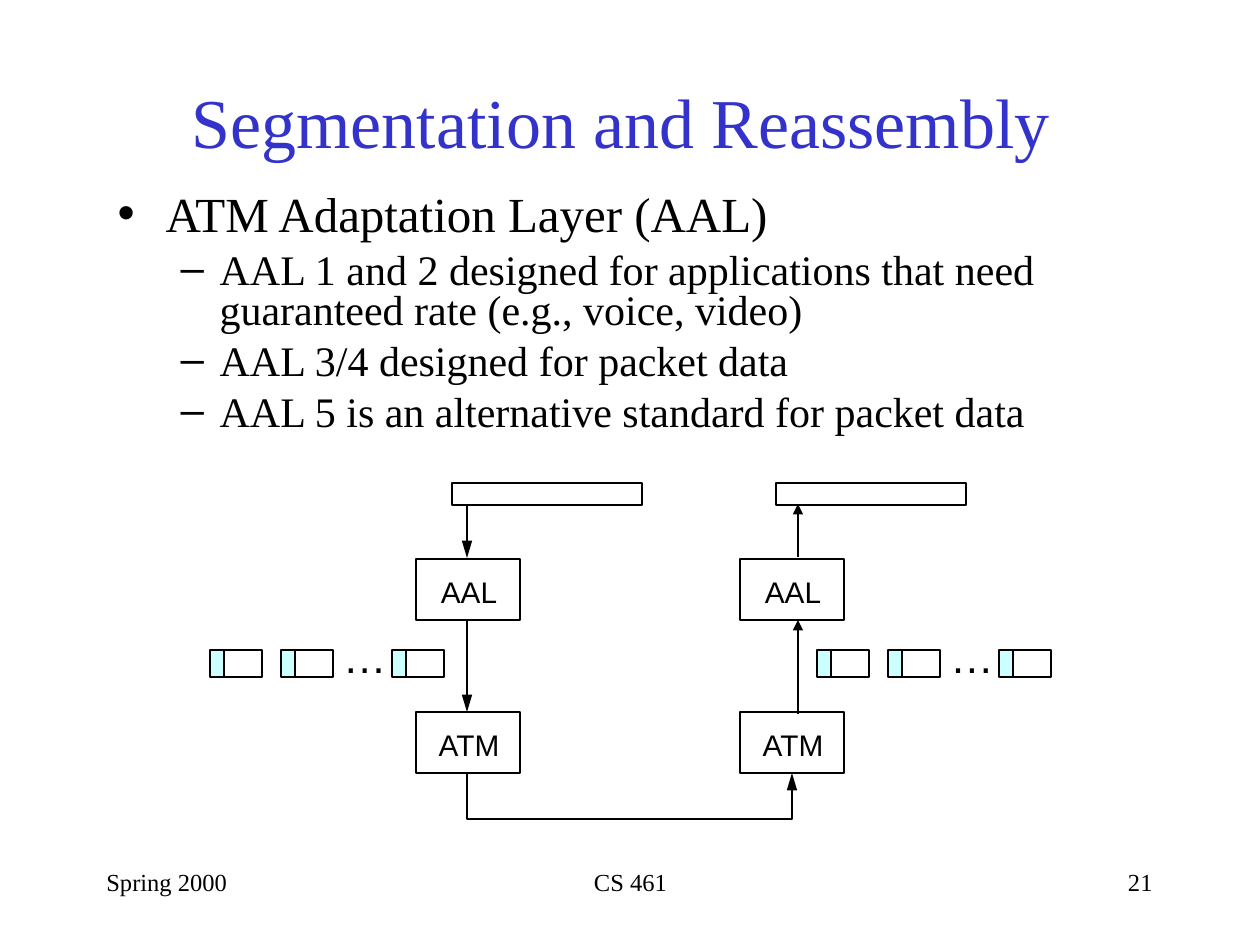
from lxml.etree import SubElement
from pptx import Presentation
from pptx.dml.color import RGBColor
from pptx.enum.shapes import MSO_CONNECTOR, MSO_SHAPE
from pptx.enum.text import MSO_ANCHOR, MSO_AUTO_SIZE, PP_ALIGN
from pptx.oxml.ns import qn
from pptx.util import Pt

SCALE = 914400 / 126
BLACK = RGBColor(0x00, 0x00, 0x00)
BLUE = RGBColor(0x33, 0x33, 0xCC)
CYAN = RGBColor(0xCC, 0xFF, 0xFF)
SERIF = "Times New Roman"
SANS = "Arial"


def px(*lengths):
    """Turn px lengths into EMU."""
    return [round(v * SCALE) for v in lengths]


def write(p, text, size=14, font=SERIF, color=BLACK, align=PP_ALIGN.LEFT):
    """Add a formatted run to a paragraph."""
    p.alignment = align
    r = p.add_run()
    r.text = text
    r.font.size = Pt(size)
    r.font.name = font
    r.font.color.rgb = color


class Diagram:
    """Style and current slide, with one method per kind of element."""

    def __init__(self, s):
        self.s = s
        self.width = Pt(1)

    def place(self, sp, box, anchor=MSO_ANCHOR.TOP):
        sp.left, sp.top, sp.width, sp.height = px(*box)
        tf = sp.text_frame
        tf.word_wrap = True
        tf.auto_size = MSO_AUTO_SIZE.NONE
        tf.vertical_anchor = anchor
        return tf

    def title(self, text, box):
        tf = self.place(self.s.shapes.title, box, MSO_ANCHOR.MIDDLE)
        write(tf.paragraphs[0], text, size=40, color=BLUE, align=PP_ALIGN.CENTER)

    def bullets(self, items, box):
        tf = self.place(self.s.placeholders[1], box)
        styles = [("•", 28, 48, -48), ("–", 24, 102, -39)]
        for i, (level, text) in enumerate(items):
            char, size, margin, indent = styles[level]
            p = tf.add_paragraph() if i else tf.paragraphs[0]
            p.level = level
            pPr = p._p.get_or_add_pPr()
            margin, indent = px(margin, indent)
            pPr.set("marL", str(margin))
            pPr.set("indent", str(indent))
            clr = SubElement(pPr, qn("a:buClr"))
            SubElement(clr, qn("a:srgbClr"), val=str(BLACK))
            SubElement(pPr, qn("a:buChar"), char=char)
            p.line_spacing = 0.8
            p.space_before = Pt(6 if i else 0)
            write(p, text, size=size)

    def label(self, text, box, inset=True, **fmt):
        sp = self.s.shapes.add_textbox(*px(*box))
        tf = self.place(sp, box)
        if not inset:
            tf.margin_left = tf.margin_right = tf.margin_top = tf.margin_bottom = 0
        write(tf.paragraphs[0], text, **fmt)

    def outline(self, sp):
        sp.shadow.inherit = False
        sp.fill.background()
        sp.line.color.rgb = BLACK
        sp.line.width = self.width

    def box(self, box, text=None):
        sp = self.s.shapes.add_shape(MSO_SHAPE.RECTANGLE, *px(*box))
        self.outline(sp)
        if text:
            tf = self.place(sp, box, MSO_ANCHOR.MIDDLE)
            tf.margin_left, tf.margin_right, tf.margin_top, tf.margin_bottom = px(2, 0, 5, 0)
            write(tf.paragraphs[0], text, size=17, font=SANS, align=PP_ALIGN.CENTER)

    def cell(self, x, y):
        sp = self.s.shapes.add_shape(MSO_SHAPE.RECTANGLE, *px(x, y, 14, 27))
        sp.shadow.inherit = False
        sp.fill.solid()
        sp.fill.fore_color.rgb = CYAN
        sp.line.fill.background()
        self.line(x + 14, y, x + 14, y + 27)
        self.box((x, y, 52, 27))

    def head(self, sp, length):
        ln = sp.line._get_or_add_ln()
        SubElement(ln, qn("a:tailEnd"), type="triangle", w="med", len=length)

    def line(self, x1, y1, x2, y2, head=None):
        sp = self.s.shapes.add_connector(MSO_CONNECTOR.STRAIGHT, *px(x1, y1, x2, y2))
        SubElement(sp._element.spPr, qn("a:effectLst"))
        sp.line.color.rgb = BLACK
        sp.line.width = self.width
        if head:
            self.head(sp, head)

    def route(self, start, *points):
        fb = self.s.shapes.build_freeform(*px(*start))
        fb.add_line_segments([px(*pt) for pt in points], close=False)
        sp = fb.convert_to_shape()
        self.outline(sp)
        self.head(sp, "lg")


def main():
    """Build the slide and save it."""
    prs = Presentation()
    prs.slide_width, prs.slide_height = px(1260, 945)
    d = Diagram(prs.slides.add_slide(prs.slide_layouts[1]))

    d.title("Segmentation and Reassembly ", (94, 63, 1071, 116))
    d.bullets([
        (0, "ATM Adaptation Layer (AAL)"),
        (1, "AAL 1 and 2 designed for applications that need "
            "guaranteed rate (e.g., voice, video)"),
        (1, "AAL 3/4 designed for packet data"),
        (1, "AAL 5 is an alternative standard for packet data"),
    ], (105, 189, 1071, 262))

    for stack_x, cells_x in ((416, 210), (740, 817)):
        d.box((stack_x + 36, 483, 190, 22))
        d.box((stack_x, 559, 104, 61), "AAL")
        d.box((stack_x, 712, 104, 61), "ATM")
        for dx in (0, 71, 182):
            d.cell(cells_x + dx, 650)
        d.label("…", (cells_x + 133, 630, 44, 53), inset=False, size=25, font=SANS)

    d.line(467, 505, 467, 558, head="lg")
    d.line(467, 620, 467, 712, head="lg")
    d.line(798, 557, 798, 504, head="med")
    d.line(798, 714, 798, 620, head="med")
    d.route((467, 773), (467, 819), (792, 819), (792, 773))

    d.label("Spring 2000", (94, 861, 262, 63))
    d.label("CS 461", (431, 861, 399, 63), align=PP_ALIGN.CENTER)
    d.label("21", (903, 861, 262, 63), align=PP_ALIGN.RIGHT)
    prs.save("out.pptx")


if __name__ == "__main__":
    main()
